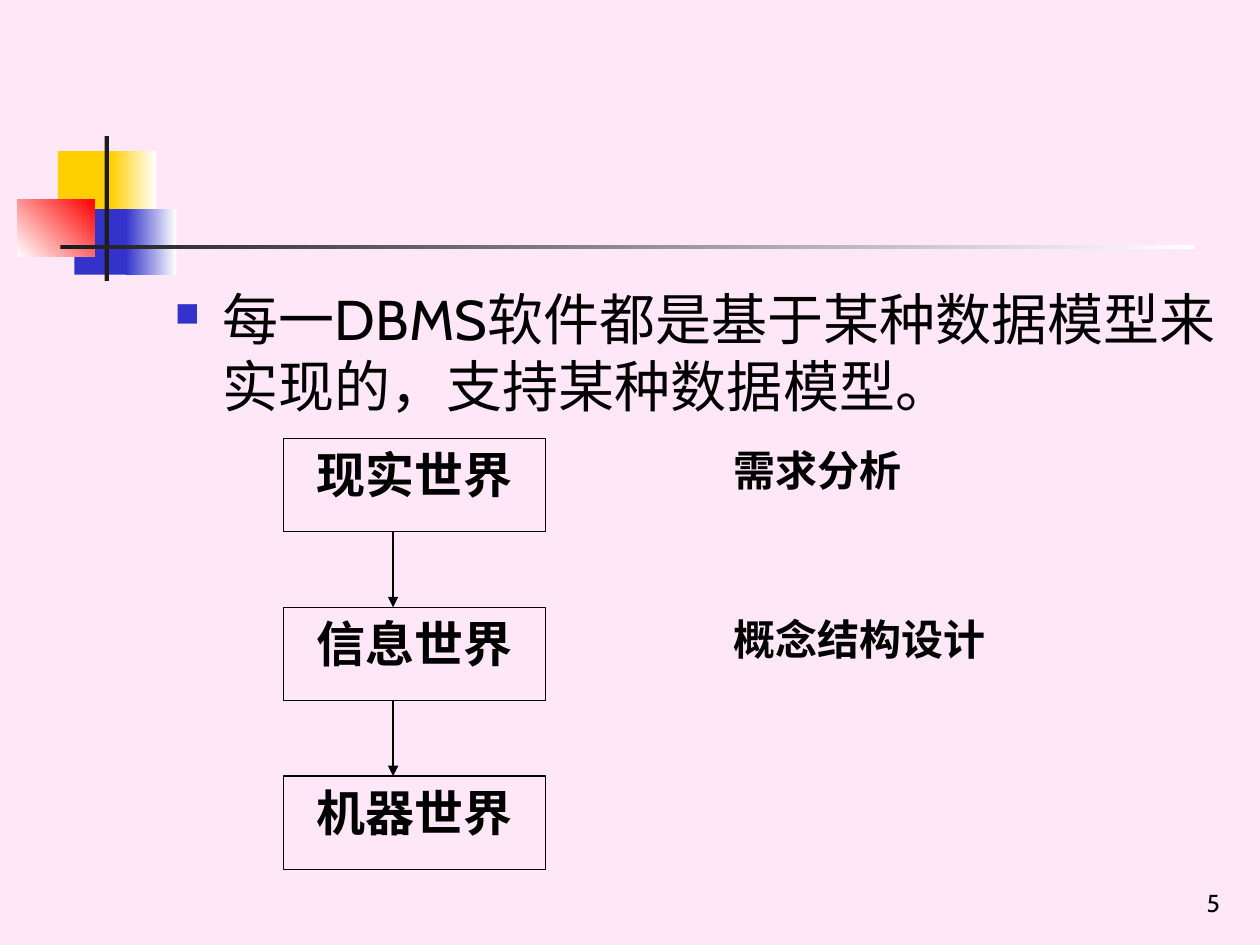
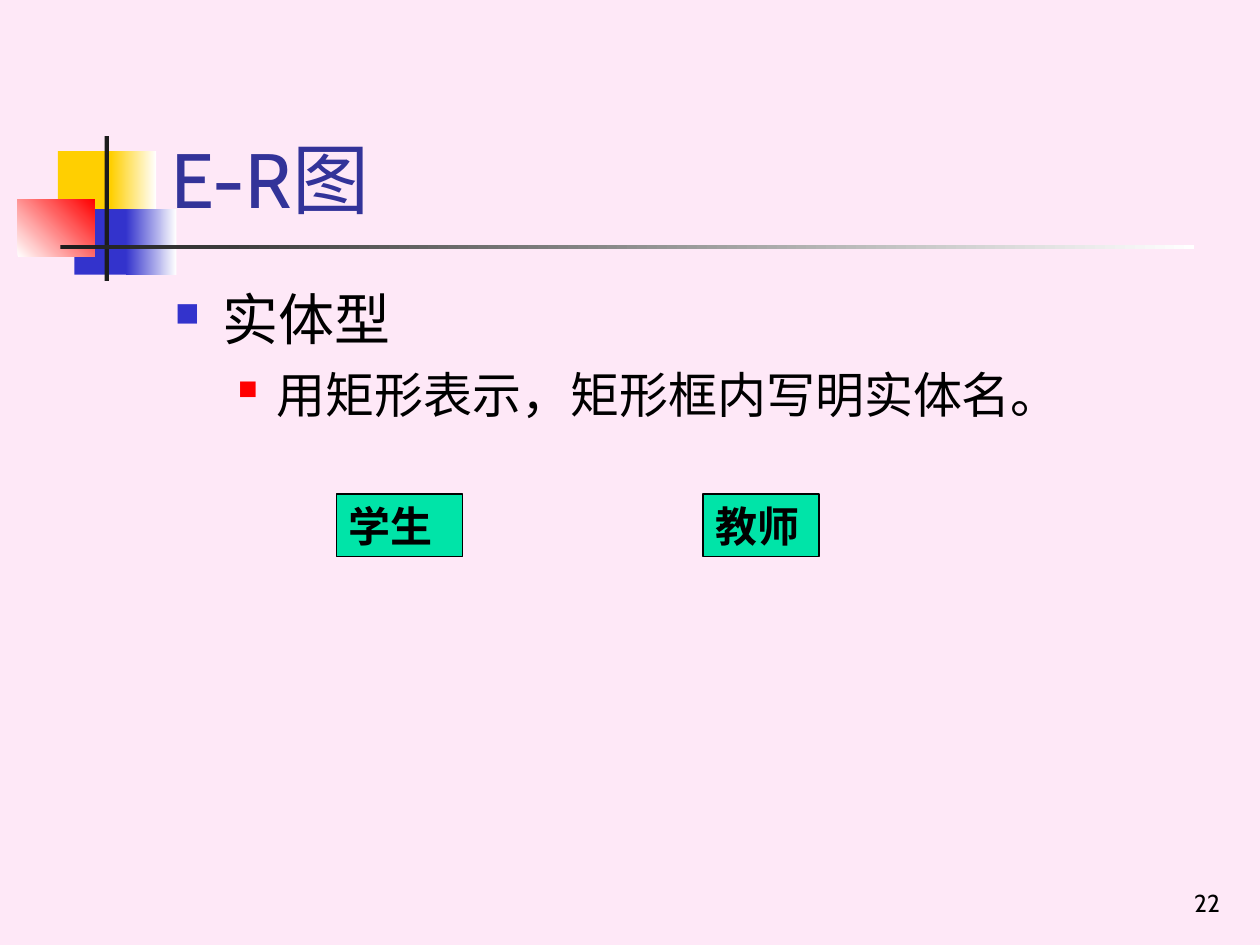
from dataclasses import dataclass
from itertools import pairwise

from lxml.etree import SubElement
from pptx import Presentation
from pptx.dml.color import RGBColor
from pptx.enum.lang import MSO_LANGUAGE_ID as Language
from pptx.enum.shapes import MSO_CONNECTOR as Connector, MSO_SHAPE as Preset
from pptx.enum.text import MSO_ANCHOR as Anchor, MSO_AUTO_SIZE as AutoSize, PP_ALIGN as Align
from pptx.oxml.ns import qn
from pptx.shapes.autoshape import Shape
from pptx.slide import Slide
from pptx.util import Inches, Pt

SLIDE_WIDTH, SLIDE_HEIGHT = Inches(10), Inches(7.5)
COLUMN, ROW = SLIDE_WIDTH / 100, SLIDE_HEIGHT / 75
BODY_FONT, DIAGRAM_FONT = "Cabin", "Times New Roman"
COLORS = {
    "background": "FEE8F7", "title": "333399", "text": "000000", "white": "FFFFFF",
    "yellow": "FFCF01", "blue": "3333CC", "red": "FF0000", "bar": "1C1C1C",
    "entity": "00E4A8",
}


@dataclass(frozen=True)
class Area:
    """A place on the slide in grid columns and rows."""
    left: float
    top: float
    width: float
    height: float

    def lengths(self) -> tuple[int, int, int, int]:
        """Return left, top, width and height in slide units."""
        return (round(self.left * COLUMN), round(self.top * ROW),
                round(self.width * COLUMN), round(self.height * ROW))


@dataclass(frozen=True)
class Patch:
    """A borderless decoration, shaded when it has an end colour."""
    area: Area
    color: str
    end_color: str = ""
    angle: float = 0


@dataclass(frozen=True)
class TextStyle:
    """The look of a paragraph."""
    size: float
    font: str = BODY_FONT
    color: str = "text"
    bold: bool = False
    align: Align = Align.LEFT
    space_before: float = 0


@dataclass(frozen=True)
class BulletLevel:
    """The text style, bullet and indents of an outline level."""
    style: TextStyle
    color: str
    percent: int
    margin: float
    hanging: float


DECORATION = (
    Patch(Area(4.6, 12, 4.8, 5.2), "yellow"),
    Patch(Area(8.8, 12, 3.6, 5.2), "yellow", "white"),
    Patch(Area(5.9, 16.6, 4.6, 5.2), "blue"),
    Patch(Area(10, 16.6, 4, 5.2), "blue", "white"),
    Patch(Area(1.4, 15.8, 6.1, 4.6), "white", "red", 45),
    Patch(Area(8.3, 10.8, 0.35, 11.5), "bar"),
    Patch(Area(4.8, 19.45, 90, 0.35), "bar", "white"),
)
TITLE_AREA = Area(12.6, 2.3, 85.2, 16)
BODY_AREA = Area(12.9, 22.1, 85, 45)
NUMBER_AREA = Area(77, 68.3, 20.8, 5)
TITLE_STYLE = TextStyle(44, color="title")
NUMBER_STYLE = TextStyle(14, align=Align.RIGHT)
WORLD_STYLE = TextStyle(28, DIAGRAM_FONT, bold=True, align=Align.CENTER)
PHASE_STYLE = TextStyle(24, DIAGRAM_FONT, bold=True, align=Align.JUSTIFY)
ENTITY_STYLE = TextStyle(24, DIAGRAM_FONT, bold=True, space_before=15)
LEVELS = (
    BulletLevel(TextStyle(32, space_before=8), "blue", 60, 3.8, 3.8),
    BulletLevel(TextStyle(28, space_before=7), "red", 55, 8.1, 3.1),
)


def rgb(name: str) -> RGBColor:
    """Look up a named colour."""
    return RGBColor.from_string(COLORS[name])


def write(paragraph, text: str, style: TextStyle) -> None:
    """Add one styled run to a paragraph."""
    paragraph.alignment = style.align
    paragraph.space_before = Pt(style.space_before)
    run = paragraph.add_run()
    run.text = text
    run.font.name, run.font.size, run.font.bold = style.font, Pt(style.size), style.bold
    run.font.color.rgb = rgb(style.color)
    run.font.language_id = Language.SIMPLIFIED_CHINESE


def add_bullet(paragraph, level: BulletLevel) -> None:
    """Give a paragraph a square bullet and a hanging indent."""
    properties = paragraph._p.get_or_add_pPr()
    properties.set("marL", str(round(level.margin * COLUMN)))
    properties.set("indent", str(-round(level.hanging * COLUMN)))
    color = SubElement(properties, qn("a:buClr"))
    SubElement(color, qn("a:srgbClr"), val=COLORS[level.color])
    SubElement(properties, qn("a:buSzPct"), val=str(level.percent * 1000))
    SubElement(properties, qn("a:buChar"), char="■")


def add_text(slide: Slide, area: Area, text: str, style: TextStyle,
             anchor: Anchor = Anchor.TOP) -> None:
    """Add a wrapped text box with one paragraph."""
    frame = slide.shapes.add_textbox(*area.lengths()).text_frame
    frame.word_wrap, frame.vertical_anchor = True, anchor
    write(frame.paragraphs[0], text, style)


def add_outline(slide: Slide, *lines: str) -> None:
    """Add the body text, each line one level deeper."""
    frame = slide.shapes.add_textbox(*BODY_AREA.lengths()).text_frame
    frame.word_wrap = True
    for depth, (line, level) in enumerate(zip(lines, LEVELS)):
        paragraph = frame.add_paragraph() if depth else frame.paragraphs[0]
        paragraph.level = depth
        write(paragraph, line, level.style)
        add_bullet(paragraph, level)


def add_box(slide: Slide, area: Area, text: str, style: TextStyle, fill: str = "") -> Shape:
    """Add a thin black frame with text at its top."""
    shape = slide.shapes.add_shape(Preset.RECTANGLE, *area.lengths())
    shape.shadow.inherit = False
    if fill:
        shape.fill.solid()
        shape.fill.fore_color.rgb = rgb(fill)
    else:
        shape.fill.background()
    shape.line.color.rgb, shape.line.width = rgb("text"), Pt(0.75)
    frame = shape.text_frame
    frame.word_wrap, frame.vertical_anchor = True, Anchor.TOP
    write(frame.paragraphs[0], text, style)
    return shape


def add_arrow(slide: Slide, column: float, start_row: float, end_row: float) -> None:
    """Add a downward arrow."""
    x = round(column * COLUMN)
    arrow = slide.shapes.add_connector(
        Connector.STRAIGHT, x, round(start_row * ROW), x, round(end_row * ROW))
    arrow.line.color.rgb, arrow.line.width = rgb("text"), Pt(0.75)
    SubElement(arrow.line._get_or_add_ln(), qn("a:tailEnd"), type="triangle")
    SubElement(arrow._element.spPr, qn("a:effectLst"))


def add_patch(slide: Slide, patch: Patch) -> None:
    """Add one decorative rectangle."""
    shape = slide.shapes.add_shape(Preset.RECTANGLE, *patch.area.lengths())
    shape.shadow.inherit = False
    shape.line.fill.background()
    if patch.end_color:
        shape.fill.gradient()
        shape.fill.gradient_angle = patch.angle
        for stop, color in zip(shape.fill.gradient_stops, (patch.color, patch.end_color)):
            stop.color.rgb = rgb(color)
    else:
        shape.fill.solid()
        shape.fill.fore_color.rgb = rgb(patch.color)


def add_base_slide(presentation, number: int) -> Slide:
    """Add a slide with the shared background, decoration and number."""
    slide = presentation.slides.add_slide(presentation.slide_layouts[6])
    slide.background.fill.solid()
    slide.background.fill.fore_color.rgb = rgb("background")
    for patch in DECORATION:
        add_patch(slide, patch)
    add_text(slide, NUMBER_AREA, str(number), NUMBER_STYLE, Anchor.BOTTOM)
    return slide


def add_worlds_slide(presentation) -> None:
    """Build the slide on the three worlds of data modelling."""
    slide = add_base_slide(presentation, 5)
    add_outline(slide, "每一DBMS软件都是基于某种数据模型来实现的，支持某种数据模型。")
    worlds = [Area(22.5, 34.8 + 13.4 * step, 20.8, 7.4) for step in range(3)]
    for area, world in zip(worlds, ("现实世界", "信息世界", "机器世界")):
        add_box(slide, area, world, WORLD_STYLE)
    for upper, lower in pairwise(worlds):
        add_arrow(slide, 31.2, upper.top + upper.height, lower.top)
    for area, phase, width in zip(worlds, ("需求分析", "概念结构设计"), (19.1, 29.5)):
        add_text(slide, Area(57.2, area.top, width, 5.9), phase, PHASE_STYLE)


def add_entity_slide(presentation) -> None:
    """Build the slide on entity types in E-R diagrams."""
    slide = add_base_slide(presentation, 22)
    add_text(slide, TITLE_AREA, "E-R图", TITLE_STYLE, Anchor.BOTTOM)
    add_outline(slide, "实体型", "用矩形表示，矩形框内写明实体名。")
    for entity, left, width in (("学生", 26.7, 10), ("教师", 55.8, 9.2)):
        box = add_box(slide, Area(left, 39.2, width, 5), entity, ENTITY_STYLE, "entity")
        box.text_frame.auto_size = AutoSize.SHAPE_TO_FIT_TEXT


def main() -> None:
    """Build and save the presentation."""
    presentation = Presentation()
    presentation.slide_width, presentation.slide_height = SLIDE_WIDTH, SLIDE_HEIGHT
    add_worlds_slide(presentation)
    add_entity_slide(presentation)
    presentation.save("out.pptx")


if __name__ == "__main__":
    main()
